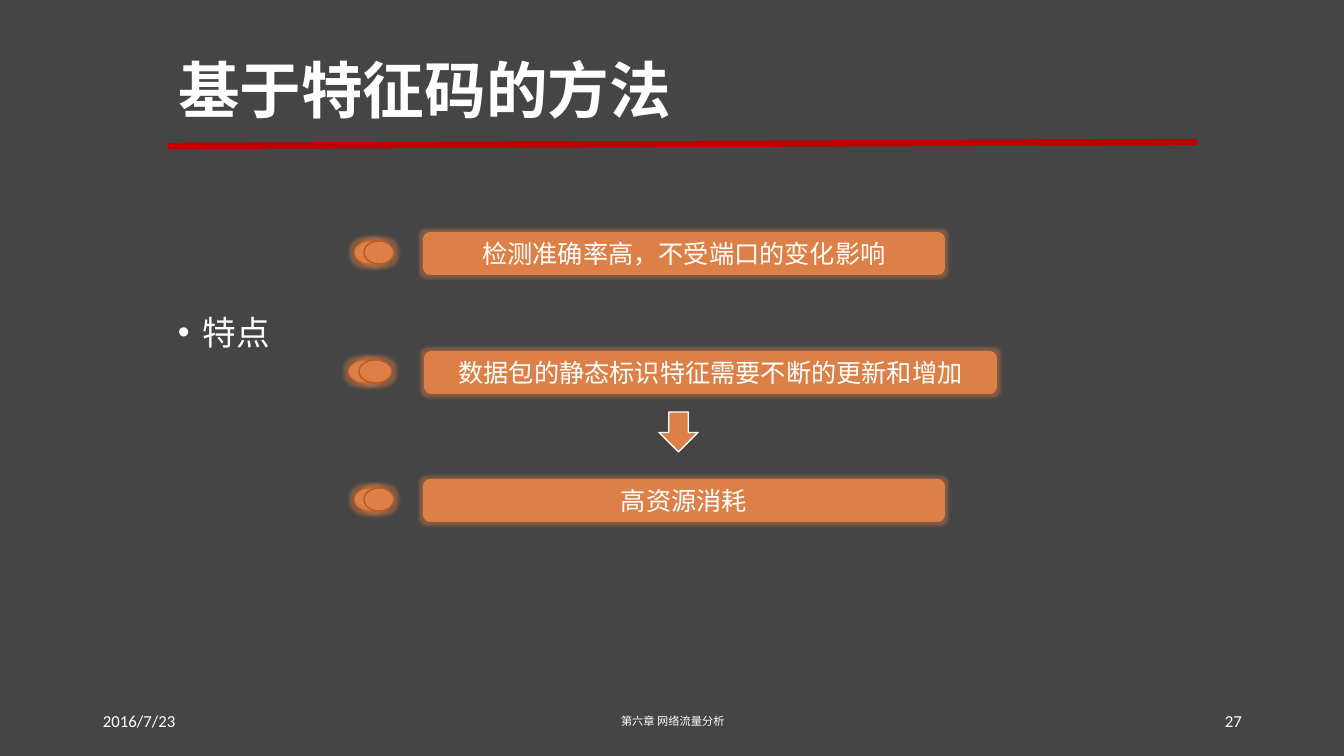
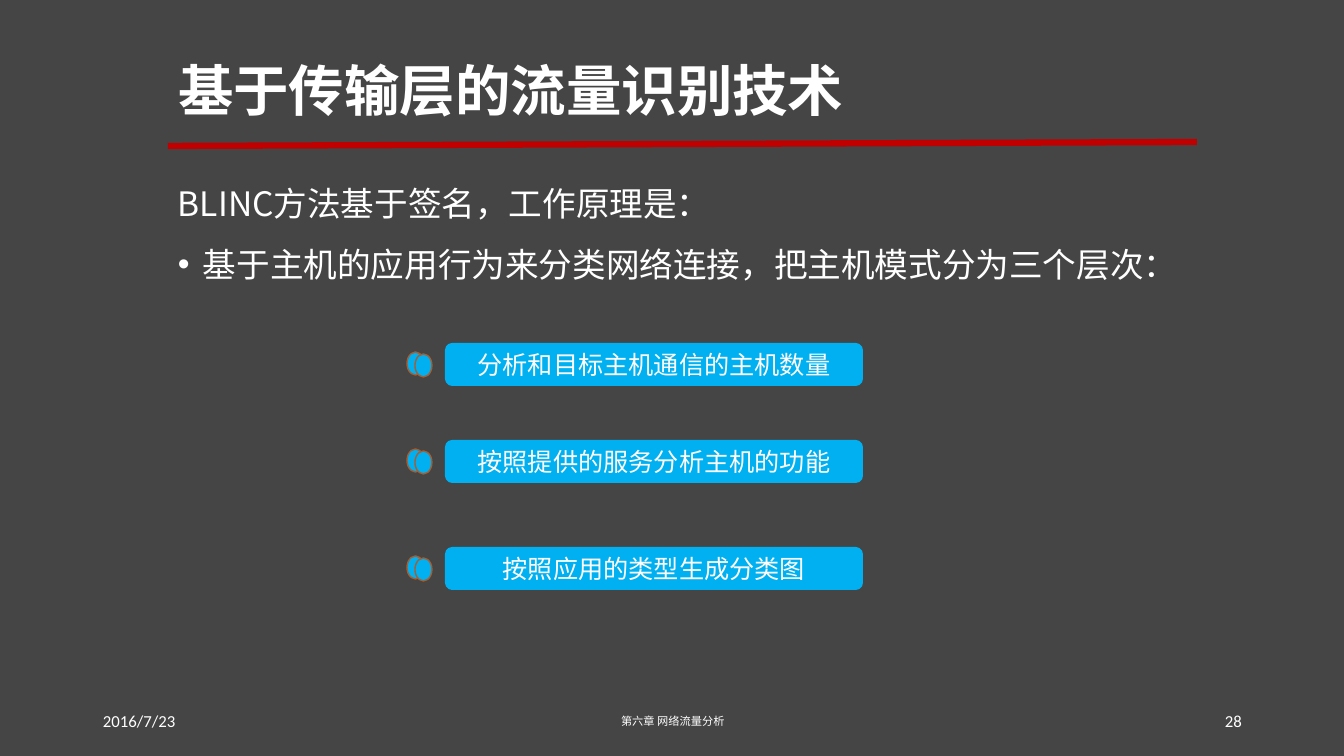
import pptx
import pptx.util
import pptx.dml.color
import pptx.enum.dml
import pptx.enum.shapes
import pptx.enum.text
import pptx.oxml
import pptx.oxml.ns
import lxml.etree

SHAPE = pptx.enum.shapes.MSO_SHAPE
ALIGN = pptx.enum.text.PP_ALIGN
ANCHOR = pptx.enum.text.MSO_ANCHOR
EMU_PER_PX = 914400 / 100.8
CJK, LATIN = "Noto Sans CJK SC", "Calibri"
WHITE, GREY, RED = "FFFFFF", "454545", "C00000"
ORANGE, BROWN = "DD8047", "B95B22"
BLUE, RUST = "00B0F0", "A35F35"


def px(*lengths):
    return [pptx.util.Emu(round(n * EMU_PER_PX)) for n in lengths]


def color(hex_value):
    return pptx.dml.color.RGBColor.from_string(hex_value)


def sub(parent, tag, **attrs):
    return lxml.etree.SubElement(parent, pptx.oxml.ns.qn(tag), attrs)


class Deck:
    def __init__(self):
        self.prs = pptx.Presentation()
        self.prs.slide_width, self.prs.slide_height = px(1344, 756)
        fill = self.prs.slide_master.background.fill
        fill.solid()
        fill.fore_color.rgb = color(GREY)

    def slide(self, title, number, title_size=44):
        self.s = self.prs.slides.add_slide(self.prs.slide_layouts[5])
        self.rule(168, 146, 1197, 142)
        sp = self.s.shapes.title
        sp.left, sp.top, sp.width, sp.height = px(168, 21, 1029, 146)
        self.set_text(sp.text_frame, [title], title_size, bold=True)
        sp.text_frame.paragraphs[0].line_spacing = 0.9
        self.text("2016/7/23", 93, 701, 302, 40, 12, LATIN)
        self.text("第六章 网络流量分析", 446, 701, 454, 40, 8, align=ALIGN.CENTER)
        self.text(str(number), 950, 701, 302, 40, 12, LATIN, ALIGN.RIGHT)

    def set_text(self, tf, lines, size, font=CJK, align=ALIGN.LEFT,
                 anchor=ANCHOR.MIDDLE, bold=False):
        tf.text = "\n".join(lines)
        tf.word_wrap = True
        tf.auto_size = pptx.enum.text.MSO_AUTO_SIZE.NONE
        tf.vertical_anchor = anchor
        for p in tf.paragraphs:
            p.alignment = align
            for r in p.runs:
                r.font.size = pptx.util.Pt(size)
                r.font.name = font
                r.font.bold = bold
                r.font.color.rgb = color(WHITE)
                sub(r.font._element, "a:ea", typeface=font)

    def text(self, line, x, y, w, h, size, font=CJK, align=ALIGN.LEFT):
        sp = self.s.shapes.add_textbox(*px(x, y, w, h))
        self.set_text(sp.text_frame, [line], size, font, align)

    def body(self, y, h, lines, bulleted):
        tf = self.s.shapes.add_textbox(*px(168, y, 1029, h)).text_frame
        self.set_text(tf, lines, 24, anchor=ANCHOR.TOP)
        indent = px(25)[0]
        for i, p in enumerate(tf.paragraphs):
            p.line_spacing = 1.5
            if i in bulleted:
                pPr = p._p.get_or_add_pPr()
                pPr.set("marL", str(indent))
                pPr.set("indent", str(-indent))
                sub(pPr, "a:buFont", typeface="Arial")
                sub(pPr, "a:buChar", char="•")

    def rule(self, x1, y1, x2, y2):
        cn = self.s.shapes.add_connector(
            pptx.enum.shapes.MSO_CONNECTOR.STRAIGHT, *px(x1, y1, x2, y2))
        cn.line.color.rgb = color(RED)
        cn.line.width = pptx.util.Pt(4.5)
        sub(cn._element.spPr, "a:effectLst")

    def shape(self, shapes, kind, x, y, w, h, fill, line=None, glow=False):
        sp = shapes.add_shape(kind, *px(x, y, w, h))
        sp.fill.solid()
        sp.fill.fore_color.rgb = color(fill)
        if line:
            sp.line.color.rgb = color(line)
            sp.line.width = pptx.util.Pt(1)
        else:
            sp.line.fill.background()
        sp.shadow.inherit = False
        if glow:
            effects = sp._element.spPr.find(pptx.oxml.ns.qn("a:effectLst"))
            halo = sub(effects, "a:glow", rad=str(pptx.util.Pt(5)))
            sub(sub(halo, "a:srgbClr", val=fill), "a:alpha", val="40000")
        return sp

    def item(self, label, x, y, w, dots, dot_w, fill, line, glow=False):
        shapes = self.s.shapes.add_group_shape().shapes
        bar = self.shape(shapes, SHAPE.ROUNDED_RECTANGLE, x, y, w, 43, fill, glow=glow)
        self.set_text(bar.text_frame, [label], 18, align=ALIGN.CENTER)
        for dot_x, dy in dots:
            self.shape(shapes, SHAPE.OVAL, dot_x, y + dy, dot_w, 23, fill, line, glow)

    def arrow(self, x, y, w, h):
        self.shape(self.s.shapes, SHAPE.DOWN_ARROW, x, y, w, h, ORANGE, WHITE)


def main():
    deck = Deck()

    deck.slide("基于特征码的方法", 27)
    deck.body(287, 90, ["特点"], {0})
    for label, x, y, w, dot_x, dot_w in (
            ("检测准确率高，不受端口的变化影响", 423, 232, 522, (354, 364), 30),
            ("数据包的静态标识特征需要不断的更新和增加", 424, 351, 573, (348, 359), 33),
            ("高资源消耗", 423, 479, 522, (354, 364), 30)):
        dots = [(left, 9) for left in dot_x]
        deck.item(label, x, y, w, dots, dot_w, ORANGE, BROWN, glow=True)
    deck.arrow(659, 412, 39, 40)

    deck.slide("基于传输层的流量识别技术", 28, title_size=39.6)
    deck.body(158, 170, ["BLINC方法基于签名，工作原理是：",
                         "基于主机的应用行为来分类网络连接，把主机模式分为三个层次："], {1})
    for label, y in (("分析和目标主机通信的主机数量", 343),
                     ("按照提供的服务分析主机的功能", 440),
                     ("按照应用的类型生成分类图", 547)):
        deck.item(label, 445, y, 418, [(407, 9), (415, 11)], 17, BLUE, RUST)

    deck.prs.save("out.pptx")


if __name__ == "__main__":
    main()
